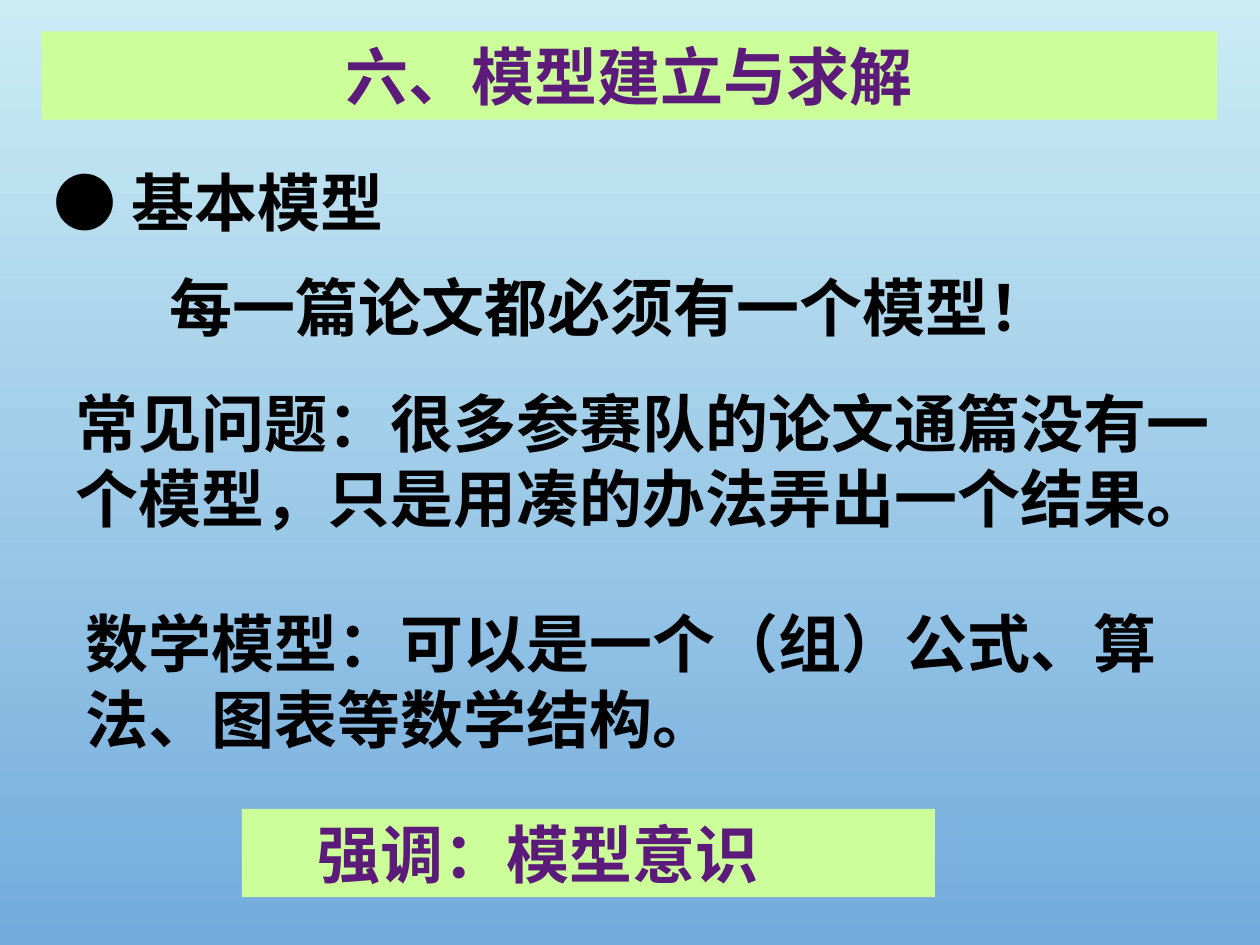
import dataclasses

import pptx
import pptx.dml.color
import pptx.enum.shapes
import pptx.enum.text
import pptx.util
from pptx.util import Inches


@dataclasses.dataclass(frozen=True)
class Theme:
    sky_top: str = "CBECF5"
    sky_bottom: str = "73ABDC"
    banner: str = "CCFF99"
    accent: str = "5C1B7B"
    ink: str = "000000"
    font: str = "Times New Roman"
    size: int = 36


THEME = Theme()
CENTER = pptx.enum.text.PP_ALIGN.CENTER
LEFT = pptx.enum.text.PP_ALIGN.LEFT


def rgb(value):
    return pptx.dml.color.RGBColor.from_string(value)


def set_attributes(target, values):
    for name, value in values.items():
        setattr(target, name, value)


def write_text(shape, text, color, align=LEFT, indent=0):
    """Fill a shape with one bold paragraph, its first line indented."""
    frame = shape.text_frame
    set_attributes(frame, {
        "word_wrap": True,
        "auto_size": pptx.enum.text.MSO_AUTO_SIZE.SHAPE_TO_FIT_TEXT,
        "vertical_anchor": pptx.enum.text.MSO_ANCHOR.TOP,
    })
    paragraph = frame.paragraphs[0]
    paragraph.alignment = align
    if indent:
        properties = paragraph._p.get_or_add_pPr()
        properties.set("marL", "0")
        properties.set("indent", str(Inches(indent)))
    run = paragraph.add_run()
    run.text = text
    set_attributes(run.font, {
        "name": THEME.font,
        "size": pptx.util.Pt(THEME.size),
        "bold": True,
    })
    run.font.color.rgb = rgb(color)


def add_background(slide):
    fill = slide.background.fill
    fill.gradient()
    fill.gradient_angle = 270  # counter-clockwise, so top to bottom
    for stop, color in zip(fill.gradient_stops, (THEME.sky_top, THEME.sky_bottom)):
        stop.color.rgb = rgb(color)


def add_banner(slide, box, text, align=LEFT, indent=0):
    shape = slide.shapes.add_shape(
        pptx.enum.shapes.MSO_SHAPE.RECTANGLE, *map(Inches, box))
    shape.shadow.inherit = False
    shape.fill.solid()
    shape.fill.fore_color.rgb = rgb(THEME.banner)
    shape.line.fill.background()
    write_text(shape, text, THEME.accent, align, indent)


def add_statement(slide, box, text, indent=0):
    shape = slide.shapes.add_textbox(*map(Inches, box))
    write_text(shape, text, THEME.ink, indent=indent)


def main():
    presentation = pptx.Presentation()
    presentation.slide_width = Inches(10)
    presentation.slide_height = Inches(7.5)
    slide = presentation.slides.add_slide(presentation.slide_layouts[6])
    add_background(slide)

    # Title
    add_banner(slide, (0.33, 0.25, 9.33, 0.7), "六、模型建立与求解", CENTER)

    # Body statements
    statements = [
        ((0.33, 1.25, 6.67, 0.7), "● 基本模型", 0),
        ((0.25, 2.08, 9.58, 0.7), "每一篇论文都必须有一个模型！", 1),
        ((0.5, 3, 9.5, 1.3),
         "常见问题：很多参赛队的论文通篇没有一个模型，只是用凑的办法弄出一个结果。", 0),
        ((0.58, 4.75, 9.08, 1.3),
         "数学模型：可以是一个（组）公式、算法、图表等数学结构。", 0),
    ]
    for box, text, indent in statements:
        add_statement(slide, box, text, indent)

    # Closing emphasis
    add_banner(slide, (1.92, 6.42, 5.5, 0.7), "强调：模型意识", indent=0.5)

    presentation.save("out.pptx")


if __name__ == "__main__":
    main()
